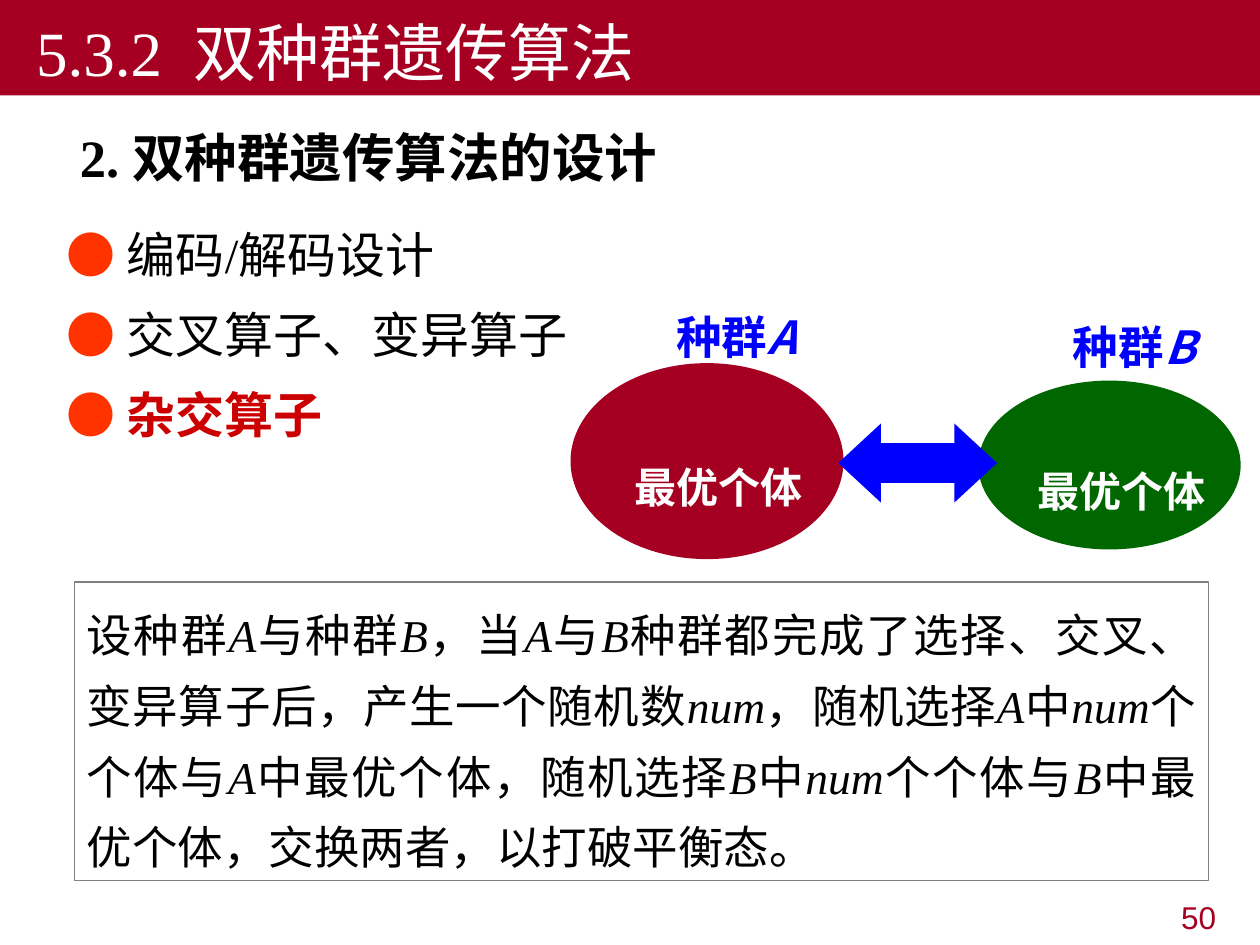
from dataclasses import dataclass

from pptx import Presentation
from pptx.dml.color import RGBColor
from pptx.enum.shapes import MSO_SHAPE
from pptx.enum.text import MSO_ANCHOR, MSO_AUTO_SIZE, PP_ALIGN
from pptx.oxml.ns import qn
from pptx.util import Pt

OVAL, RECTANGLE = MSO_SHAPE.OVAL, MSO_SHAPE.RECTANGLE
DOUBLE_ARROW = MSO_SHAPE.LEFT_RIGHT_ARROW
TOP, MIDDLE, BOTTOM = MSO_ANCHOR.TOP, MSO_ANCHOR.MIDDLE, MSO_ANCHOR.BOTTOM
FIT_SHAPE, NO_FIT = MSO_AUTO_SIZE.SHAPE_TO_FIT_TEXT, MSO_AUTO_SIZE.NONE
LEFT, CENTER, RIGHT = PP_ALIGN.LEFT, PP_ALIGN.CENTER, PP_ALIGN.RIGHT
JUSTIFY = PP_ALIGN.JUSTIFY

CRIMSON = RGBColor(0xA5, 0x00, 0x21)
GREEN = RGBColor(0x00, 0x66, 0x00)
BLUE = RGBColor(0x00, 0x00, 0xFF)
RED = RGBColor(0xCC, 0x00, 0x00)
ORANGE = RGBColor(0xFF, 0x33, 0x00)
GRAY = RGBColor(0x80, 0x80, 0x80)
BLACK = RGBColor(0x00, 0x00, 0x00)
WHITE = RGBColor(0xFF, 0xFF, 0xFF)

SANS, SERIF, ARIAL = "Noto Sans CJK SC", "Times New Roman", "Arial"
INDENT = 13.5


@dataclass(frozen=True)
class Box:
    left: float
    top: float
    width: float
    height: float

    def lengths(self) -> tuple:
        return Pt(self.left), Pt(self.top), Pt(self.width), Pt(self.height)


@dataclass(frozen=True)
class Style:
    size: float
    color: RGBColor
    font: str = SANS
    bold: bool = False
    italic: bool = False


@dataclass(frozen=True)
class Population:
    name: str
    color: RGBColor
    oval: Box
    label: Box


@dataclass(frozen=True)
class Topic:
    text: str
    color: RGBColor
    bold: bool
    space_before: float


POPULATIONS = [
    Population("A", CRIMSON, Box(326, 207.5, 156, 112), Box(365.75, 173.5, 98, 38)),
    Population("B", GREEN, Box(559, 217.5, 150, 96.5), Box(592.5, 179.25, 98, 38)),
]
TOPICS = [
    Topic("编码/解码设计", BLACK, False, 14),
    Topic("交叉算子、变异算子", BLACK, False, 5.6),
    Topic("杂交算子", RED, True, 5.6),
]
EXCHANGE_RULE = (
    "设种群|A|与种群|B|，当|A|与|B|种群都完成了选择、交叉、变异算子后，产生一个随机数|num|"
    "，随机选择|A|中|num|个个体与|A|中最优个体，随机选择|B|中|num|个个体与|B|"
    "中最优个体，交换两者，以打破平衡态。"
)


def add_run(paragraph, text: str, style: Style) -> None:
    run = paragraph.add_run()
    run.text = text
    font = run.font
    font.size, font.name = Pt(style.size), style.font
    font.bold, font.italic = style.bold, style.italic
    font.color.rgb = style.color
    east_asian = run._r.get_or_add_rPr().makeelement(qn("a:ea"), {"typeface": SANS})
    font._element.find(qn("a:latin")).addnext(east_asian)


def add_alternating(paragraph, text: str, upright: Style, italic: Style) -> None:
    for position, part in enumerate(text.split("|")):
        add_run(paragraph, part, italic if position % 2 else upright)


def format_paragraph(paragraph, align, indent: float = 0) -> None:
    paragraph.alignment = align
    properties = paragraph._p.get_or_add_pPr()
    properties.set("marL", "0")
    properties.set("indent", str(Pt(indent)))
    properties.append(properties.makeelement(qn("a:buNone"), {}))


def format_frame(frame, anchor, wrap: bool = True, fit=NO_FIT) -> None:
    frame.vertical_anchor = anchor
    frame.word_wrap = wrap
    frame.auto_size = fit


def place(shape, box: Box) -> None:
    shape.left, shape.top, shape.width, shape.height = box.lengths()


def add_filled(slide, kind, box: Box, color: RGBColor):
    shape = slide.shapes.add_shape(kind, *box.lengths())
    shape.shadow.inherit = False
    shape.fill.solid()
    shape.fill.fore_color.rgb = color
    shape.line.fill.background()
    return shape


def fill_title(title) -> None:
    place(title, Box(0, 0, 720, 54.5))
    title.fill.solid()
    title.fill.fore_color.rgb = CRIMSON
    format_frame(title.text_frame, BOTTOM)
    heading = title.text_frame.paragraphs[0]
    format_paragraph(heading, LEFT, INDENT)
    add_run(heading, "5.3.2  双种群遗传算法", Style(36, WHITE, SERIF))


def fill_topics(body) -> None:
    place(body, Box(31, 60.5, 660, 378))
    frame = body.text_frame
    format_frame(frame, TOP)
    heading = frame.paragraphs[0]
    heading.line_spacing, heading.space_before = 1.2, Pt(6)
    format_paragraph(heading, JUSTIFY)
    add_run(heading, " 2. 双种群遗传算法的设计", Style(30, BLACK, SERIF, True))
    for topic in TOPICS:
        line = frame.add_paragraph()
        line.line_spacing, line.space_before = 1.2, Pt(topic.space_before)
        format_paragraph(line, JUSTIFY)
        add_run(line, "● ", Style(28, ORANGE, ARIAL, True))
        add_run(line, topic.text, Style(28, topic.color, SERIF, topic.bold))


def add_exchange_rule(slide) -> None:
    panel = add_filled(slide, RECTANGLE, Box(42.5, 332.5, 648, 170.5), WHITE)
    panel.line.color.rgb = GRAY
    panel.line.width = Pt(0.75)
    format_frame(panel.text_frame, BOTTOM, fit=FIT_SHAPE)
    rule = panel.text_frame.paragraphs[0]
    rule.line_spacing = 1.3
    format_paragraph(rule, JUSTIFY)
    add_alternating(rule, EXCHANGE_RULE, Style(26, BLACK), Style(26, BLACK, SERIF, italic=True))


def add_population(slide, population: Population) -> None:
    oval = add_filled(slide, OVAL, population.oval, population.color)
    frame = oval.text_frame
    format_frame(frame, MIDDLE, wrap=False)
    frame.margin_left, frame.margin_top = Pt(7.2 + INDENT), Pt(32.4)
    best = frame.paragraphs[0]
    format_paragraph(best, CENTER)
    add_run(best, "最优个体", Style(24, WHITE, bold=True))

    label = slide.shapes.add_textbox(*population.label.lengths())
    format_frame(label.text_frame, BOTTOM, wrap=False, fit=FIT_SHAPE)
    name = label.text_frame.paragraphs[0]
    format_paragraph(name, LEFT, INDENT)
    add_alternating(
        name,
        f"种群|{population.name}",
        Style(26, BLUE, bold=True),
        Style(26, BLUE, bold=True, italic=True),
    )


def add_page_number(slide) -> None:
    corner = slide.shapes.add_textbox(*Box(545.75, 509.75, 156.25, 28).lengths())
    format_frame(corner.text_frame, TOP)
    number = corner.text_frame.paragraphs[0]
    format_paragraph(number, RIGHT)
    add_run(number, "50", Style(18, CRIMSON, ARIAL))


def main() -> None:
    presentation = Presentation()
    presentation.slide_width, presentation.slide_height = Pt(720), Pt(540)
    slide = presentation.slides.add_slide(presentation.slide_layouts[1])
    fill_title(slide.shapes.title)
    fill_topics(slide.placeholders[1])
    add_exchange_rule(slide)
    for population in POPULATIONS:
        add_population(slide, population)
    exchange = add_filled(slide, DOUBLE_ARROW, Box(479, 242, 90.75, 45.25), BLUE)
    exchange.adjustments[0], exchange.adjustments[1] = 0.5, 0.54
    add_page_number(slide)
    presentation.save("out.pptx")


if __name__ == "__main__":
    main()
